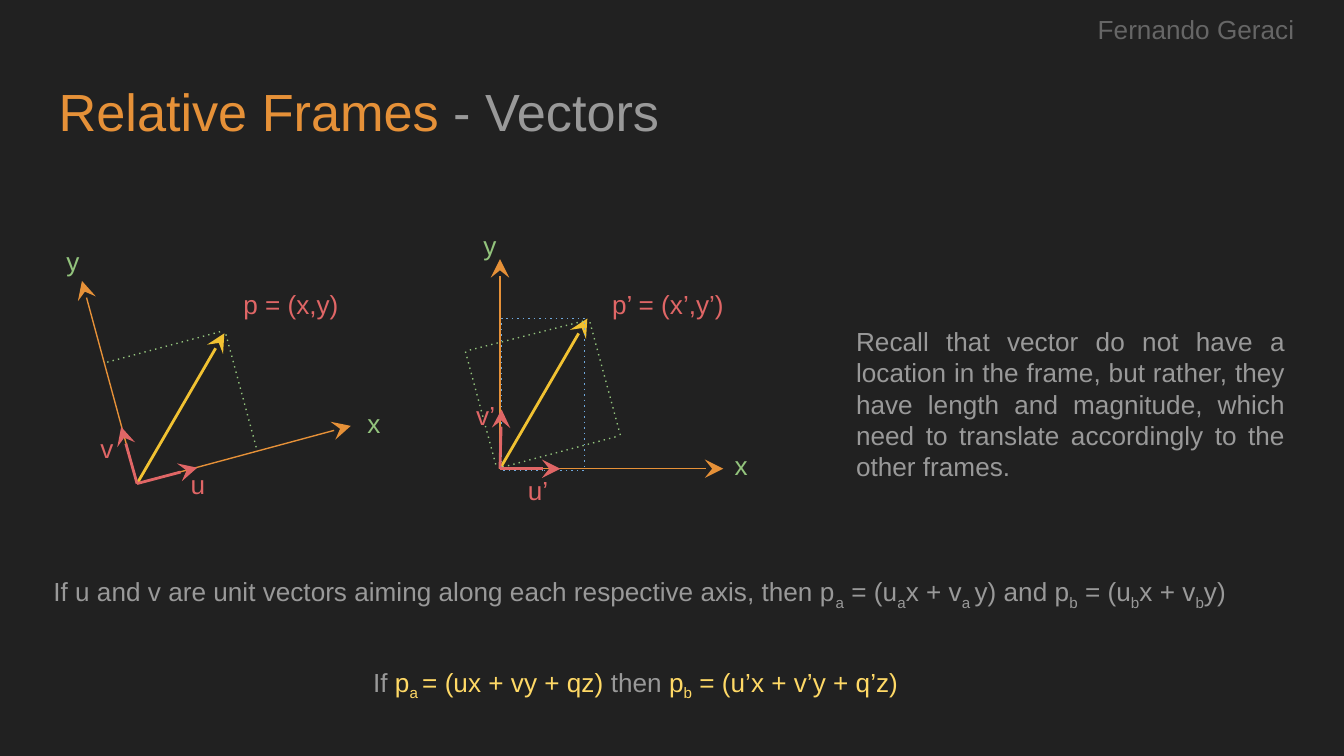
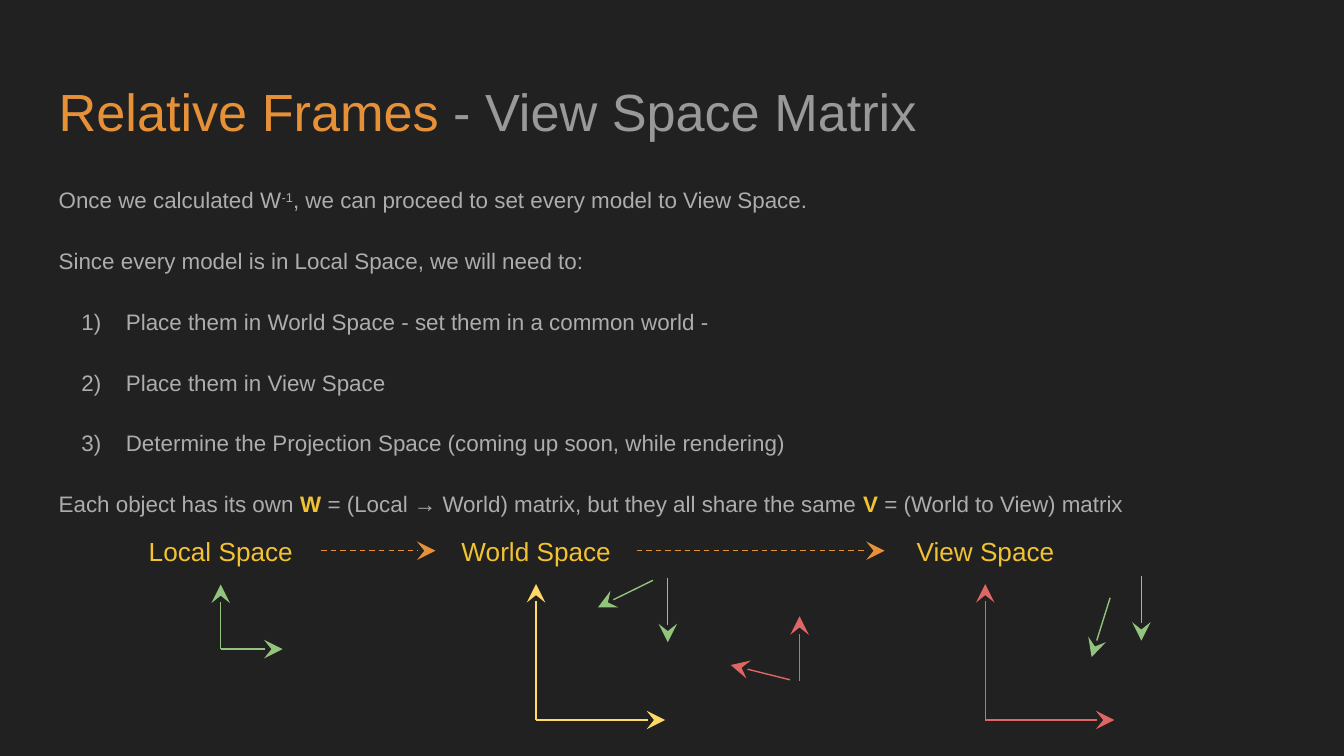
from lxml.etree import SubElement
from pptx import Presentation
from pptx.dml.color import RGBColor
from pptx.enum.shapes import MSO_CONNECTOR, MSO_SHAPE
from pptx.enum.text import MSO_ANCHOR, MSO_AUTO_SIZE, PP_ALIGN
from pptx.oxml.ns import qn
from pptx.util import Cm, Pt

FONT = "Arial"
BACKGROUND = "212121"
ORANGE = "E69138"
GOLD = "F1C232"
YELLOW = "FFD966"
GREEN = "93C47D"
RED = "E06666"
BLUE = "6FA8DC"
GRAY = "999999"
DARK_GRAY = "666666"
LIGHT_GRAY = "ADADAD"
SUB, SUPER = -25, 30
MIDDLE, TOP = MSO_ANCHOR.MIDDLE, MSO_ANCHOR.TOP


def paint(color_format, color):
    color_format.rgb = RGBColor.from_string(color)


def add_spans(para, spans, size):
    for text, color, *raised in spans:
        span = para.add_run()
        span.text = text
        span.font.name = FONT
        span.font.size = Pt(size)
        span.font.bold = "bold" in raised
        paint(span.font.color, color)
        if raised and raised[0] != "bold":
            span.font._element.set("baseline", str(raised[0] * 1000))


def set_frame(frame, anchor):
    frame.word_wrap = True
    frame.auto_size = MSO_AUTO_SIZE.NONE
    frame.vertical_anchor = anchor
    frame.margin_left = frame.margin_right = Cm(0.25)
    frame.margin_top = frame.margin_bottom = Cm(0.25)


def add_text(page, box, spans, align=PP_ALIGN.CENTER, anchor=MIDDLE):
    frame = page.shapes.add_textbox(*map(Cm, box)).text_frame
    set_frame(frame, anchor)
    para = frame.paragraphs[0]
    para.alignment = align
    add_spans(para, spans, 14)


def set_dash(line, dash):
    SubElement(line._get_or_add_ln(), qn("a:prstDash"), val=dash)


def add_line(page, origin, ends, color, width=0.75, dash=None, arrow=True):
    left, top = origin
    x1, y1, x2, y2 = ends
    points = left + x1, top + y1, left + x2, top + y2
    connector = page.shapes.add_connector(MSO_CONNECTOR.STRAIGHT, *map(Cm, points))
    connector.line.width = Pt(width)
    paint_line(connector.line, color)
    if dash:
        set_dash(connector.line, dash)
    if arrow:
        SubElement(connector.line._get_or_add_ln(), qn("a:tailEnd"),
                   type="stealth", w="lg", len="lg")
    SubElement(connector._element.spPr, qn("a:effectLst"))


def paint_line(line, color):
    line.fill.solid()
    paint(line.fill.fore_color, color)


def add_page(deck, topic):
    page = deck.slides.add_slide(deck.slide_layouts[5])
    title = page.shapes.title
    title.left, title.top, title.width, title.height = map(Cm, (0.86, 1.24, 23.67, 1.6))
    set_frame(title.text_frame, TOP)
    para = title.text_frame.paragraphs[0]
    para.alignment = PP_ALIGN.LEFT
    add_spans(para, [("Relative Frames ", ORANGE), ("- " + topic, GRAY)], 28)
    return page


def add_vector_frame(page, origin, axes, vector, units, guides, labels, projection=None):
    for tip in axes:
        add_line(page, origin, (0, 0, *tip), ORANGE)
    add_line(page, origin, (0, 0, *vector), GOLD, 1.5)
    for ends in guides:
        add_line(page, origin, ends, GREEN, dash="dot", arrow=False)
    left, top = origin
    if projection:
        x, y, width, height = projection
        box = page.shapes.add_shape(
            MSO_SHAPE.RECTANGLE, *map(Cm, (left + x, top + y, width, height)))
        box.shadow.inherit = False
        box.fill.background()
        box.line.width = Pt(0.75)
        paint_line(box.line, BLUE)
        set_dash(box.line, "dot")
    for text, color, x, y, width, height in labels:
        add_text(page, (left + x, top + y, width, height), [(text, color)])
    for tip in units:
        add_line(page, origin, (0, 0, *tip), RED, 1.5)


def add_formulas(page, left, top):
    parts = [
        ("If u and v are unit vectors aiming along each respective axis, then p", "a"),
        (" = (u", "a"), ("x + v", "a "), ("y) and p", "b"),
        (" = (u", "b"), ("x + v", "b"),
    ]
    spans = []
    for text, index in parts:
        spans += [(text, GRAY), (index, GRAY, SUB)]
    spans.append(("y)", GRAY))
    add_text(page, (left, top, 23.67, 1.3), spans, PP_ALIGN.JUSTIFY)
    spans = [
        ("If", GRAY), (" p", YELLOW), ("a ", YELLOW, SUB),
        ("= (ux + vy + qz) ", YELLOW), ("then ", GRAY),
        ("p", YELLOW), ("b", YELLOW, SUB), (" = (u’x + v’y + q’z)", YELLOW),
    ]
    add_text(page, (left + 5.87, top + 1.77, 10.77, 1.3), spans, anchor=TOP)


def build_vectors(deck):
    page = add_page(deck, "Vectors")
    axis_label, unit_label = (1.04, 0.84), (2.46, 1.09)
    add_vector_frame(
        page, (2.59, 9.14),
        axes=[(-1.04, -3.83), (4.04, -1.09)],
        vector=(1.65, -2.84),
        units=[(-0.3, -1.07), (1.14, -0.3)],
        guides=[(1.57, -2.87, -0.58, -2.29), (1.68, -2.82, 2.26, -0.66)],
        labels=[
            ("p = (x,y)", RED, 1.68, -3.94, *unit_label),
            ("x", GREEN, 3.96, -1.57, *axis_label),
            ("y", GREEN, -1.73, -4.62, *axis_label),
            ("u", RED, 0.58, -0.53, 1.14, 1.09),
            ("v", RED, -1.09, -1.22, 1.04, 1.09),
        ],
    )
    add_vector_frame(
        page, (9.45, 8.86),
        axes=[(0, -3.96), (4.22, 0)],
        vector=(1.65, -2.84),
        units=[(1.14, 0), (0.03, -1.12)],
        guides=[
            (1.57, -2.79, -0.58, -2.24), (1.7, -2.77, 2.29, -0.58),
            (0.05, -0.03, 2.21, -0.61), (-0.08, -0.08, -0.66, -2.24),
        ],
        labels=[
            ("p’ = (x’,y’)", RED, 1.65, -3.66, 3.05, 1.09),
            ("x", GREEN, 4.04, -0.48, *axis_label),
            ("y", GREEN, -0.71, -4.65, *axis_label),
            ("v’", RED, -1.5, -1.55, *unit_label),
            ("u’", RED, -0.51, -0.15, *unit_label),
        ],
        projection=(0.03, -2.84, 1.57, 2.87),
    )
    recall = ("Recall that vector do not have a location in the frame, but rather, "
              "they have length and magnitude, which need to translate accordingly "
              "to the other frames.")
    add_text(page, (15.93, 5.56, 8.61, 4.14), [(recall, GRAY)], PP_ALIGN.JUSTIFY)
    add_formulas(page, 0.76, 10.57)
    add_text(page, (19.81, 0, 5.59, 1.17), [("Fernando Geraci", DARK_GRAY)], anchor=TOP)


def add_steps(page, box):
    intro = [
        [("Once we calculated W", LIGHT_GRAY), ("-1", LIGHT_GRAY, SUPER),
         (", we can proceed to set every model to View Space.", LIGHT_GRAY)],
        [("Since every model is in Local Space, we will need to:", LIGHT_GRAY)],
    ]
    steps = [
        [(text, LIGHT_GRAY)] for text in (
            "Place them in World Space - set them in a common world -",
            "Place them in View Space",
            "Determine the Projection Space (coming up soon, while rendering)",
        )
    ]
    closing = [
        ("Each object has its own ", LIGHT_GRAY), ("W", GOLD, "bold"),
        (" = (Local → World) matrix, but they all share the same ", LIGHT_GRAY),
        ("V", GOLD, "bold"), (" = (World to View) matrix", LIGHT_GRAY),
    ]
    frame = page.shapes.add_textbox(*map(Cm, box)).text_frame
    set_frame(frame, TOP)
    for index, spans in enumerate([*intro, *steps, closing]):
        para = frame.add_paragraph() if index else frame.paragraphs[0]
        para.line_spacing = 1.15
        para.space_after = Pt(16)
        add_spans(para, spans, 12)
        if spans in steps:
            number_para(para)


def number_para(para):
    properties = para._p.get_or_add_pPr()
    properties.set("marL", str(Cm(1.27)))
    properties.set("indent", str(Cm(-0.84)))
    bullet_color = SubElement(properties, qn("a:buClr"))
    SubElement(bullet_color, qn("a:srgbClr"), val=LIGHT_GRAY)
    SubElement(properties, qn("a:buAutoNum"), type="arabicParenR")


def add_space(page, name, origin, up, right, color, models=()):
    add_line(page, origin, (0, 0, 0, -up), color)
    add_line(page, origin, (0, 0, right, 0), color)
    for model_color, ends in models:
        add_line(page, origin, ends, model_color)
    add_text(page, (origin[0] - 1.9, 9.98, 3.81, 0.86), [(name, GOLD)])


def build_view_space(deck):
    page = add_page(deck, "View Space Matrix")
    add_steps(page, (0.86, 3.2, 23.67, 7.39))
    local, world, view = 4.17, 10.13, 18.62
    add_space(page, "Local Space", (local, 12.27), 1.22, 1.17, GREEN)
    add_space(page, "World Space", (world, 13.61), 2.57, 2.44, YELLOW, [
        (GREEN, (2.49, -2.69, 2.49, -1.47)),
        (GREEN, (2.21, -2.64, 1.17, -2.13)),
        (RED, (4.98, -0.74, 4.98, -1.96)),
        (RED, (4.8, -0.76, 3.68, -1.04)),
    ])
    add_space(page, "View Space", (view, 13.61), 2.57, 2.44, RED, [
        (GREEN, (2.95, -2.72, 2.95, -1.5)),
        (GREEN, (2.36, -2.31, 2.01, -1.19)),
    ])
    for start, end in ((local, world), (world, view)):
        add_line(page, (0, 10.41), (start + 1.9, 0, end - 1.9, 0), ORANGE, dash="dash")


def main():
    deck = Presentation()
    deck.slide_width, deck.slide_height = Cm(25.4), Cm(14.29)
    fill = deck.slide_master.background.fill
    fill.solid()
    paint(fill.fore_color, BACKGROUND)
    build_vectors(deck)
    build_view_space(deck)
    deck.save("out.pptx")


if __name__ == "__main__":
    main()
